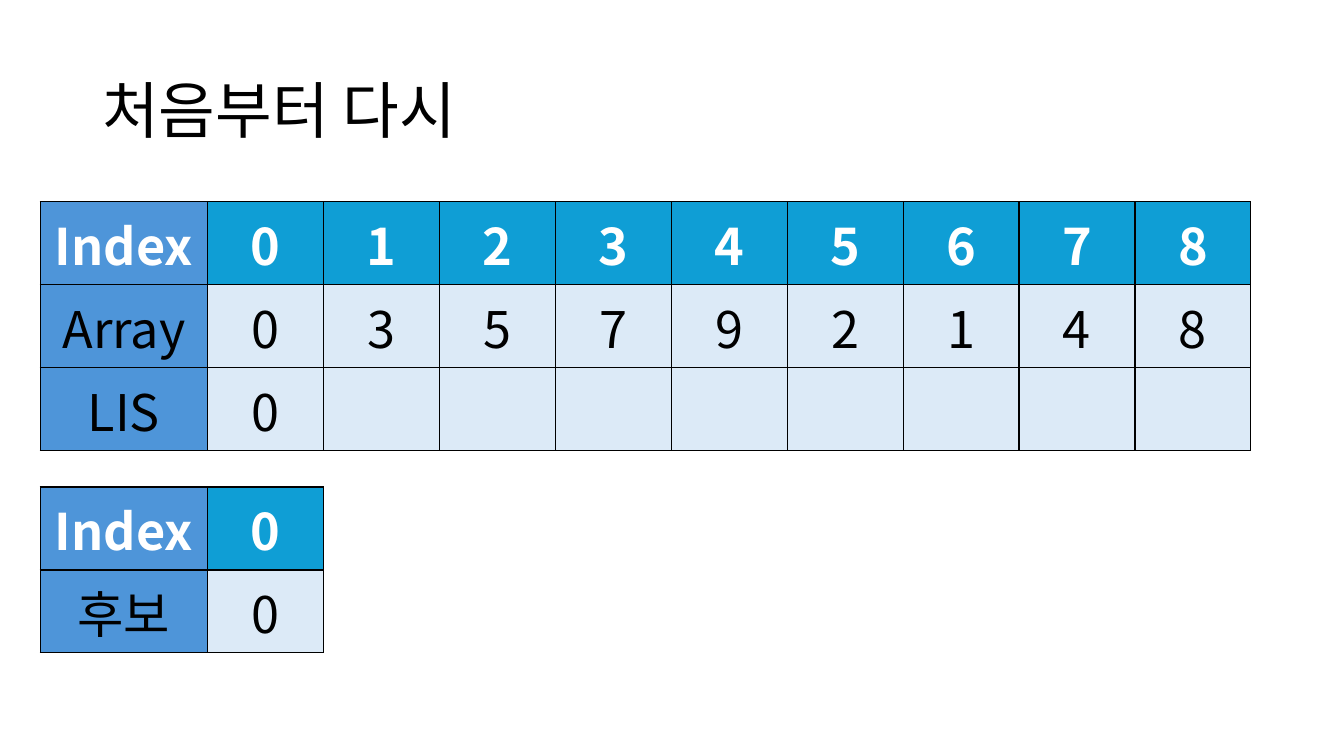
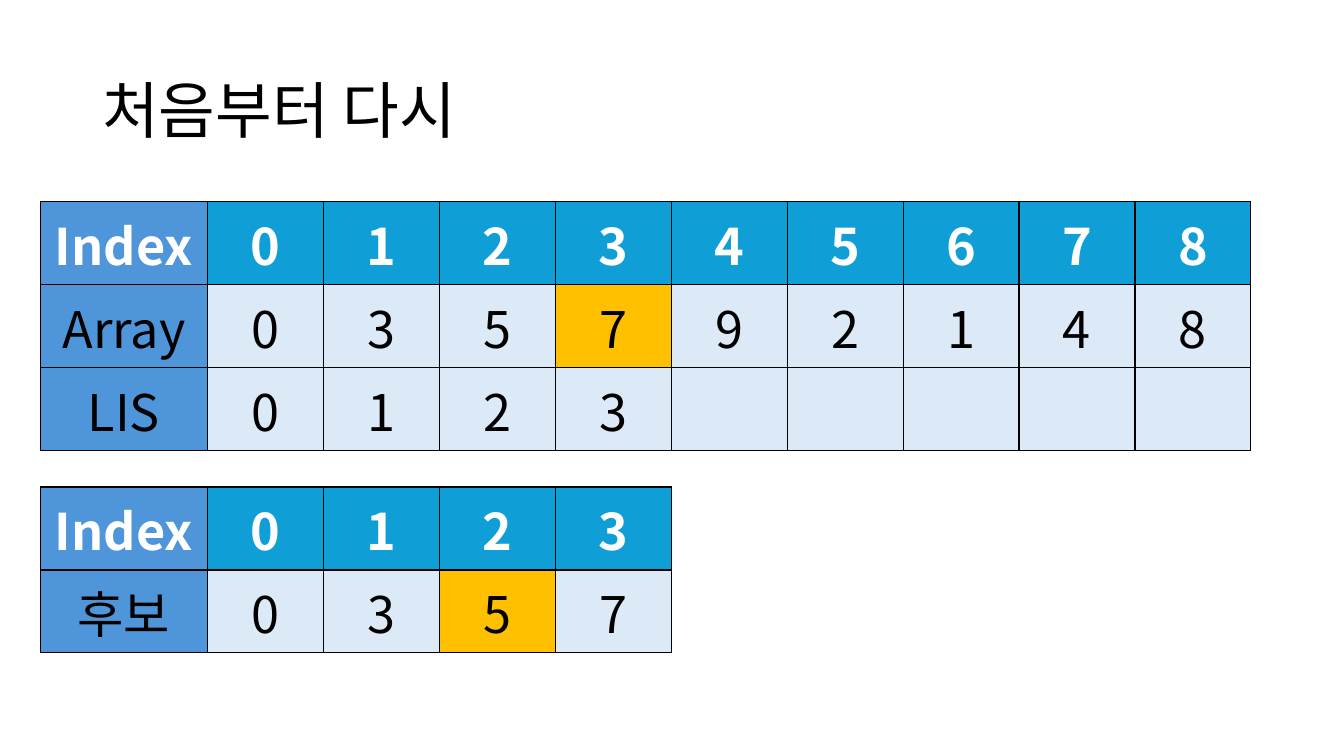
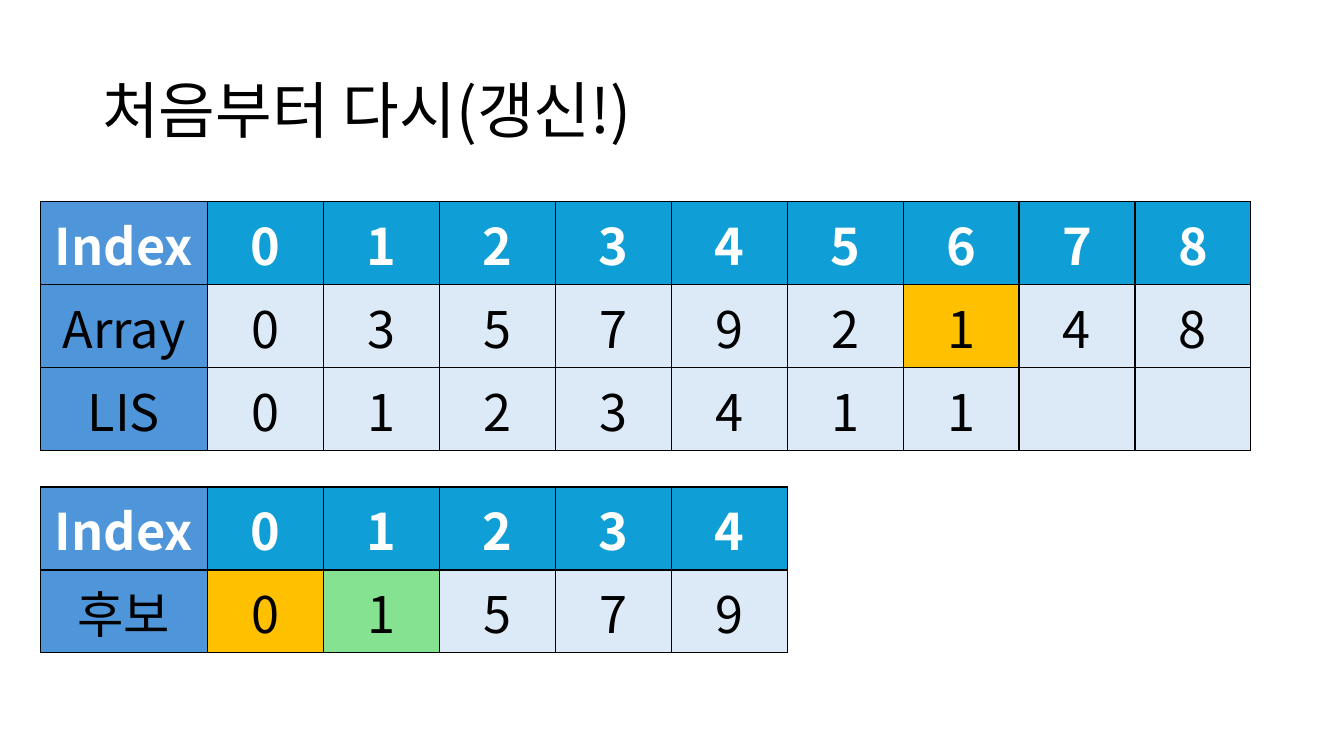
from pptx import Presentation
from pptx.dml.color import RGBColor
from pptx.enum.text import MSO_ANCHOR as Anchor, PP_ALIGN as Align
from pptx.oxml import parse_xml
from pptx.oxml.ns import nsdecls
from pptx.util import Pt

# Shared style
FONT = "Noto Sans CJK KR"
BLACK, WHITE = "000000", "FFFFFF"
LABEL, HEADER, BODY = "4E95D9", "0F9ED5", "DCEAF7"
CURRENT, UPDATED = "FFC000", "84E291"

# Shared layout, in points
LABEL_W, CELL_W, ROW_H = 119.5, 82.8, 59.3
TITLE_BOX = (66, 28.8, 828, 104.4)
ARRAY_AT = (28.8, 144)
CANDIDATES_AT = (28.8, 347.8)

ARRAY = [0, 3, 5, 7, 9, 2, 1, 4, 8]

# title, LIS so far, candidates, array fills by index, candidate fills by index
STEPS = [
    ("처음부터 다시", [0], [0], {}, {}),
    ("처음부터 다시", [0, 1, 2, 3], [0, 3, 5, 7], {3: CURRENT}, {2: CURRENT}),
    ("처음부터 다시(갱신!)", [0, 1, 2, 3, 4, 1, 1], [0, 1, 5, 7, 9],
     {6: CURRENT}, {0: CURRENT, 1: UPDATED}),
]


def color(value):
    return RGBColor.from_string(value)


def add_run(p, text, size, hex_color=BLACK, bold=False):
    r = p.add_run()
    r.text = text
    r.font.size = Pt(size)
    r.font.bold = bold
    r.font.color.rgb = color(hex_color)
    r.font.name = FONT
    # East Asian typeface for the Hangul
    latin = r.font._element.find("{*}latin")
    latin.addnext(parse_xml(f'<a:ea {nsdecls("a")} typeface="{FONT}"/>'))


def add_title(s, box, text):
    tf = s.shapes.add_textbox(*map(Pt, box)).text_frame
    tf.word_wrap = True
    tf.vertical_anchor = Anchor.MIDDLE
    p = tf.paragraphs[0]
    p.line_spacing = 0.9
    add_run(p, text, 44)


def set_borders(cell):
    tc_pr = cell._tc.get_or_add_tcPr()
    for i, side in enumerate("LRTB"):
        tc_pr.insert(i, parse_xml(
            f'<a:ln{side} {nsdecls("a")} w="12700"><a:solidFill>'
            f'<a:srgbClr val="{BLACK}"/></a:solidFill></a:ln{side}>'))


def fill_cell(cell, text, fill, text_color, bold):
    cell.fill.solid()
    cell.fill.fore_color.rgb = color(fill)
    cell.vertical_anchor = Anchor.MIDDLE
    set_borders(cell)
    p = cell.text_frame.paragraphs[0]
    p.alignment = Align.CENTER
    if text:
        add_run(p, text, 36, text_color, bold)


def add_index_table(s, at, count, rows, marks):
    """Index header above labelled rows; marks maps an index to a first-row fill."""
    rows = [("Index", range(count))] + rows
    width, height = LABEL_W + count * CELL_W, len(rows) * ROW_H
    table = s.shapes.add_table(len(rows), count + 1, *map(Pt, (*at, width, height))).table
    table.first_row = table.horz_banding = False
    for i, column in enumerate(table.columns):
        column.width = Pt(CELL_W if i else LABEL_W)
    for i, (label, values) in enumerate(rows):
        table.rows[i].height = Pt(ROW_H)
        style = (BLACK, False) if i else (WHITE, True)
        fill_cell(table.cell(i, 0), label, LABEL, *style)
        for j in range(count):
            text = str(values[j]) if j < len(values) else ""
            fill = BODY if i else HEADER
            if i == 1:
                fill = marks.get(j, BODY)
            fill_cell(table.cell(i, j + 1), text, fill, *style)


def add_step(prs, title, lis, candidates, array_marks, candidate_marks):
    s = prs.slides.add_slide(prs.slide_layouts[6])
    add_title(s, TITLE_BOX, title)
    add_index_table(s, ARRAY_AT, len(ARRAY),
                    [("Array", ARRAY), ("LIS", lis)], array_marks)
    add_index_table(s, CANDIDATES_AT, len(candidates),
                    [("후보", candidates)], candidate_marks)


def main():
    prs = Presentation()
    prs.slide_width, prs.slide_height = Pt(960), Pt(540)
    for step in STEPS:
        add_step(prs, *step)
    prs.save("out.pptx")


if __name__ == "__main__":
    main()
